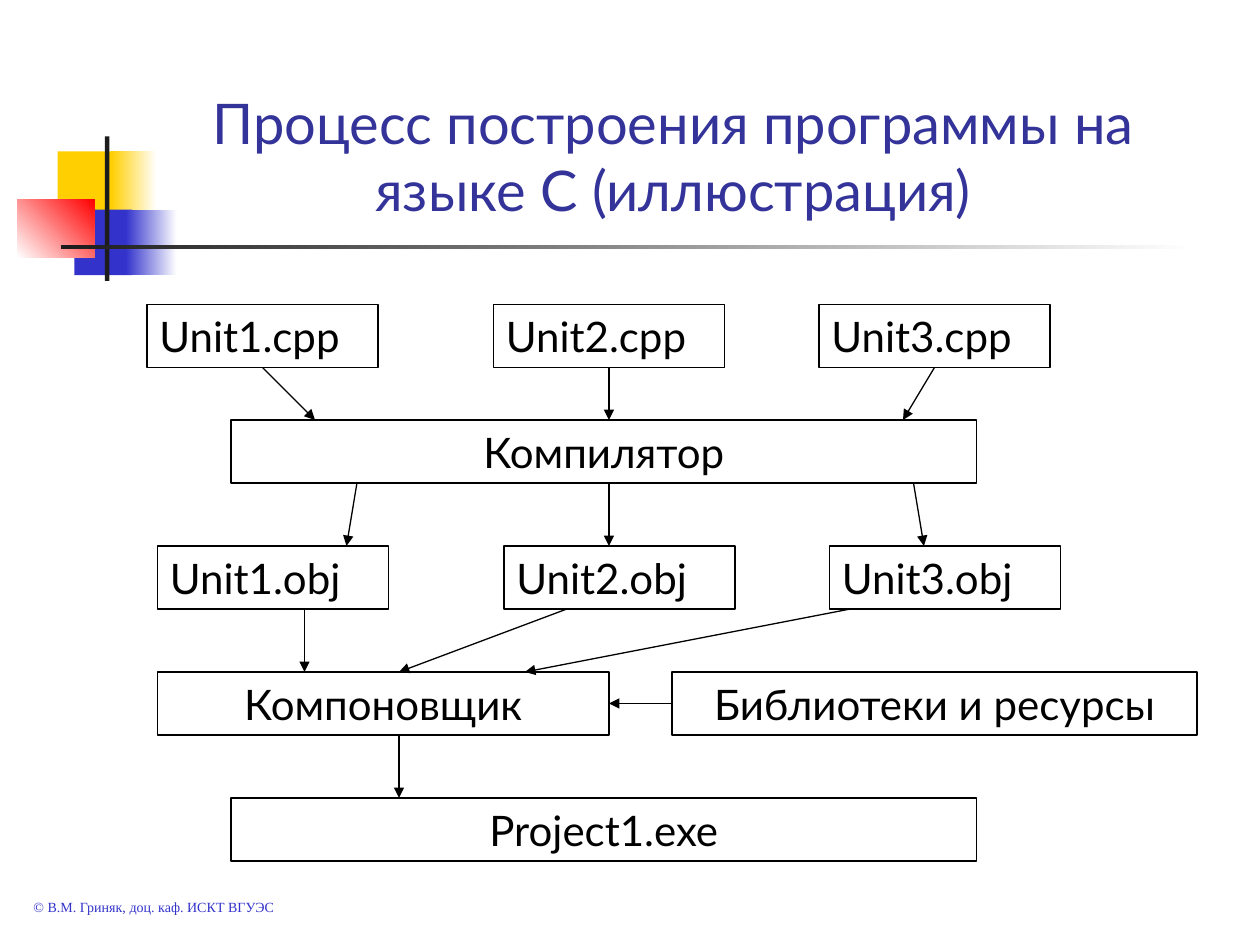
from dataclasses import dataclass

from lxml.etree import SubElement
from pptx import Presentation
from pptx.dml.color import RGBColor as Color
from pptx.enum.shapes import MSO_CONNECTOR as Connector, MSO_SHAPE as Preset
from pptx.enum.text import MSO_ANCHOR as Anchor, PP_ALIGN as Align
from pptx.oxml.ns import qn
from pptx.util import Pt


@dataclass(frozen=True)
class Theme:
    font: str = "Lato"
    footer_font: str = "Times New Roman"
    title_size: float = 32
    box_size: float = 24
    footer_size: float = 8
    line_width: float = 0.75
    ink: str = "000000"
    title: str = "333399"
    blue: str = "3333CC"
    yellow: str = "FFCF01"
    red: str = "FF0000"
    dark: str = "1C1C1C"
    white: str = "FFFFFF"


theme = Theme()

# Content: lengths in points
TITLE = "Процесс построения программы на языке С (иллюстрация)"
FOOTER = "© В.М. Гриняк, доц. каф. ИСКТ ВГУЭС"

ROW_TOP, ROW_STEP, BOX_HEIGHT = 174, 70.5, 36
ROW_TOPS = [174, 240, 312, 384, 456]
FILE_WIDTH = 132
FILE_LEFTS = [84, 282, 468]
OBJECT_SHIFT = 6

# Wide boxes: text, row, left, width
STAGES = [
    ("Компилятор", 1, 132, 426),
    ("Компоновщик", 3, 90, 258),
    ("Библиотеки и ресурсы", 3, 384, 300),
    ("Project1.exe", 4, 132, 426),
]

# Arrows from the bottom of each row to the top of the next: start x, end x
ROW_ARROWS = [
    [(150, 180), (348, 348), (534, 516)],
    [(204, 198), (348, 348), (522, 528)],
    [(174, 174), (324, 228), (486, 300)],
    [(228, 228)],
]

# Ornament: left, top, width, height, first colour, last colour, angle
ORNAMENT = [
    (33, 86.5, 34.5, 37.5, theme.yellow, None, 0),
    (63.5, 86.5, 26, 37.5, theme.yellow, theme.white, 0),
    (42.5, 119.75, 33, 37.5, theme.blue, None, 0),
    (72, 119.75, 29, 37.5, theme.blue, theme.white, 0),
    (10, 113.75, 44, 33.5, theme.white, theme.red, 45),
    (60, 78, 2.5, 82.5, theme.dark, None, 0),
    (34.75, 140, 648, 2.5, theme.dark, theme.white, 0),
]


def rgb(value):
    return Color.from_string(value)


def write(shape, text, size, color, font=theme.font, align=Align.LEFT, anchor=Anchor.TOP):
    frame = shape.text_frame
    frame.word_wrap = True
    frame.vertical_anchor = anchor
    paragraph = frame.paragraphs[0]
    paragraph.alignment = align
    run = paragraph.add_run()
    run.text = text
    run.font.name = font
    run.font.size = Pt(size)
    run.font.color.rgb = rgb(color)


def add_rectangle(slide, *bounds):
    shape = slide.shapes.add_shape(Preset.RECTANGLE, *map(Pt, bounds))
    shape.shadow.inherit = False
    return shape


def add_ornament(slide, left, top, width, height, first, last, angle):
    shape = add_rectangle(slide, left, top, width, height)
    shape.line.fill.background()
    if last is None:
        shape.fill.solid()
        shape.fill.fore_color.rgb = rgb(first)
        return
    shape.fill.gradient()
    shape.fill.gradient_angle = angle
    for stop, color in zip(shape.fill.gradient_stops, (first, last)):
        stop.color.rgb = rgb(color)


def add_box(slide, text, row, left, width, align):
    shape = add_rectangle(slide, left, ROW_TOPS[row], width, BOX_HEIGHT)
    shape.fill.background()
    shape.line.color.rgb = rgb(theme.ink)
    shape.line.width = Pt(theme.line_width)
    write(shape, text, theme.box_size, theme.ink, align=align, anchor=Anchor.MIDDLE)


def add_arrow(slide, *ends):
    arrow = slide.shapes.add_connector(Connector.STRAIGHT, *map(Pt, ends))
    arrow.line.color.rgb = rgb(theme.ink)
    arrow.line.width = Pt(theme.line_width)
    SubElement(arrow.line._get_or_add_ln(), qn("a:tailEnd"), type="triangle")
    SubElement(arrow._element.spPr, qn("a:effectLst"))


def main():
    presentation = Presentation()
    presentation.slide_width, presentation.slide_height = Pt(720), Pt(540)
    slide = presentation.slides.add_slide(presentation.slide_layouts[5])

    # Ornament and title
    for part in ORNAMENT:
        add_ornament(slide, *part)
    title = slide.shapes.title
    title.left, title.top, title.width, title.height = map(Pt, (78, 42, 613.5, 89))
    write(title, TITLE, theme.title_size, theme.title, align=Align.CENTER, anchor=Anchor.BOTTOM)

    # Footer
    footer = slide.shapes.add_textbox(Pt(12), Pt(510), Pt(192), Pt(17))
    write(footer, FOOTER, theme.footer_size, theme.blue, font=theme.footer_font)

    # Source and object files
    for row, extension, shift in ((0, "cpp", 0), (2, "obj", OBJECT_SHIFT)):
        for number, left in enumerate(FILE_LEFTS, 1):
            add_box(slide, f"Unit{number}.{extension}", row, left + shift, FILE_WIDTH, Align.LEFT)

    # Build stages
    for stage in STAGES:
        add_box(slide, *stage, Align.CENTER)

    # Arrows between rows, then from the libraries to the linker
    for row, arrows in enumerate(ROW_ARROWS):
        for start, end in arrows:
            add_arrow(slide, start, ROW_TOPS[row] + BOX_HEIGHT, end, ROW_TOPS[row + 1])
    middle = ROW_TOPS[3] + BOX_HEIGHT / 2
    add_arrow(slide, 384, middle, 348, middle)

    presentation.save("out.pptx")


if __name__ == "__main__":
    main()
